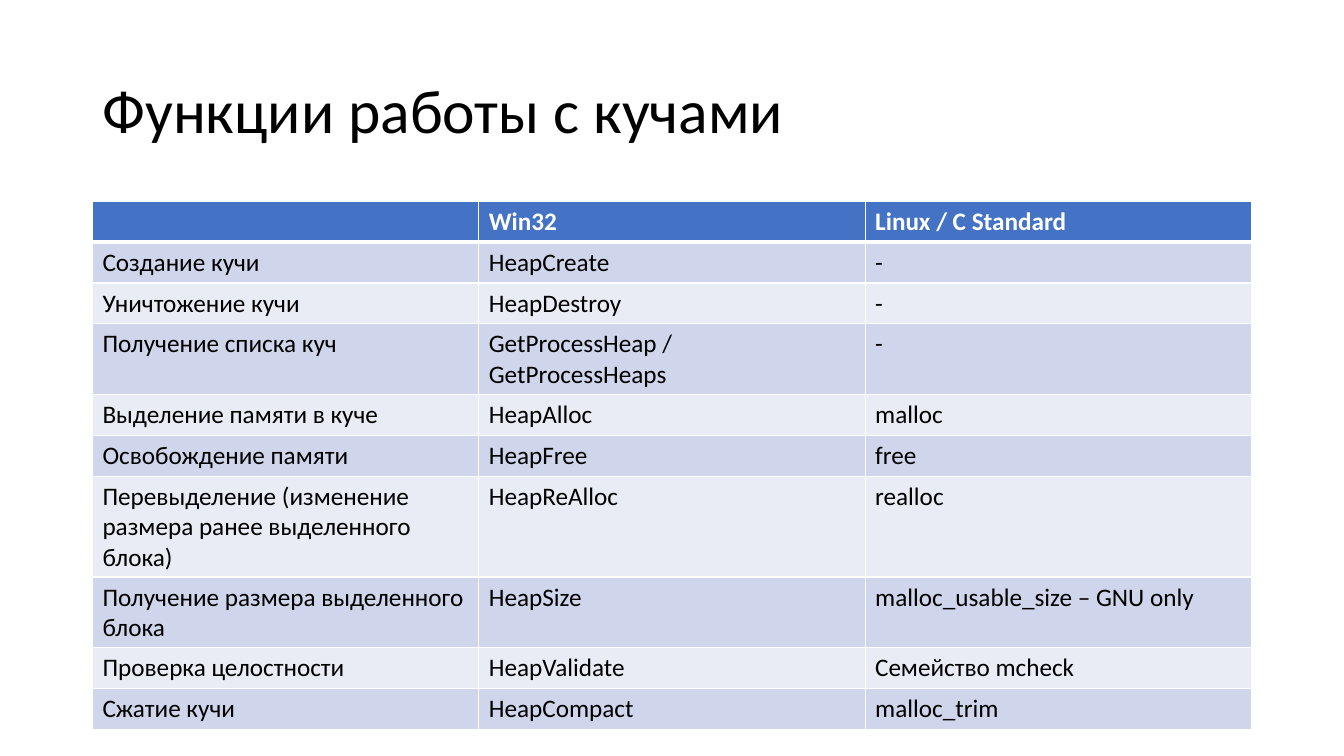
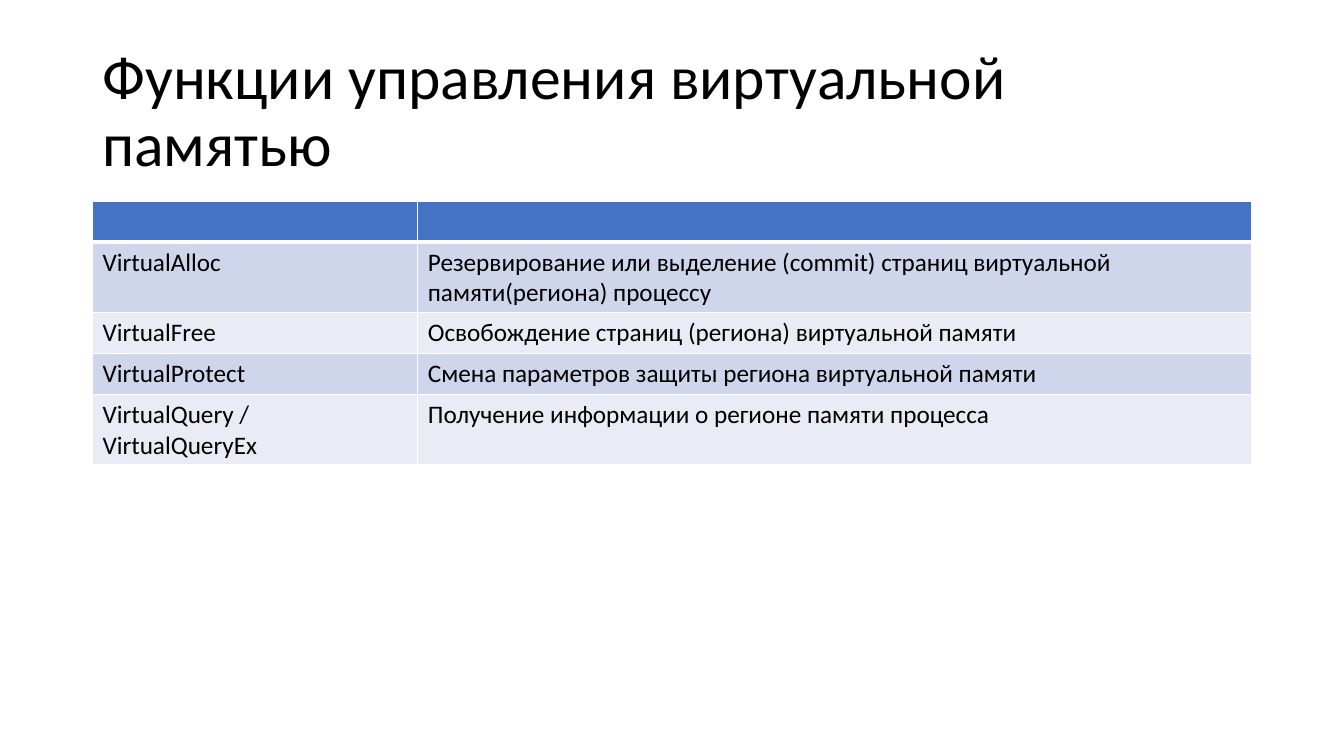
import pptx
import pptx.dml.color
import pptx.enum.text
import pptx.oxml
import pptx.oxml.ns
import pptx.util

Cm = pptx.util.Cm
Pt = pptx.util.Pt

FONT = "Calibri"
BLACK, WHITE = "000000", "FFFFFF"
HEADER_FILL = "4472C4"
BAND_FILLS = ("CFD5EA", "E9EBF5")

TITLE_FORMAT = {"name": FONT, "size": Pt(44), "bold": False}
HEADER_FORMAT = {"name": FONT, "size": Pt(18), "bold": True}
BODY_FORMAT = {"name": FONT, "size": Pt(18), "bold": False}

LEFT, CONTENT_WIDTH = 2.33, 29.21
TITLE_TOP, TITLE_HEIGHT = 1.01, 3.68
TABLE_TOP, ROW_HEIGHT = 5.07, 1.03

HEAP_ROWS = [
    ("", "Win32", "Linux / C Standard"),
    ("Создание кучи", "HeapCreate", "-"),
    ("Уничтожение кучи", "HeapDestroy", "-"),
    ("Получение списка куч", "GetProcessHeap / GetProcessHeaps", "-"),
    ("Выделение памяти в куче", "HeapAlloc", "malloc"),
    ("Освобождение памяти", "HeapFree", "free"),
    ("Перевыделение (изменение размера ранее выделенного блока)", "HeapReAlloc", "realloc"),
    ("Получение размера выделенного блока", "HeapSize", "malloc_usable_size – GNU only"),
    ("Проверка целостности", "HeapValidate", "Семейство mcheck"),
    ("Сжатие кучи", "HeapCompact", "malloc_trim"),
]
VIRTUAL_MEMORY_ROWS = [
    ("", ""),
    ("VirtualAlloc",
     "Резервирование или выделение (commit) страниц виртуальной памяти(региона) процессу"),
    ("VirtualFree", "Освобождение страниц (региона) виртуальной памяти"),
    ("VirtualProtect", "Смена параметров защиты региона виртуальной памяти"),
    ("VirtualQuery / VirtualQueryEx", "Получение информации о регионе памяти процесса"),
]


def rgb(color):
    return pptx.dml.color.RGBColor.from_string(color)


def write_text(paragraph, text, font_format, color):
    run = paragraph.add_run()
    run.text = text
    for name, value in font_format.items():
        setattr(run.font, name, value)
    run.font.color.rgb = rgb(color)


def add_title(slide, text):
    box = slide.shapes.add_textbox(
        Cm(LEFT), Cm(TITLE_TOP), Cm(CONTENT_WIDTH), Cm(TITLE_HEIGHT))
    frame = box.text_frame
    frame.word_wrap = True
    frame.vertical_anchor = pptx.enum.text.MSO_ANCHOR.MIDDLE
    paragraph = frame.paragraphs[0]
    paragraph.line_spacing = 0.9
    write_text(paragraph, text, TITLE_FORMAT, BLACK)


def set_borders(cell, row_index):
    """Draw thin white borders, with a thick line below the header row."""
    widths = {
        "lnL": 1,
        "lnR": 1,
        "lnT": 3 if row_index == 1 else 1,
        "lnB": 3 if row_index == 0 else 1,
    }
    namespace = pptx.oxml.ns.nsdecls("a")
    properties = cell._tc.get_or_add_tcPr()
    for side, width in widths.items():
        properties.append(pptx.oxml.parse_xml(
            f'<a:{side} {namespace} w="{Pt(width)}"><a:solidFill>'
            f'<a:srgbClr val="{WHITE}"/></a:solidFill></a:{side}>'))


def fill_cell(cell, text, row_index):
    is_header = row_index == 0
    set_borders(cell, row_index)
    cell.fill.solid()
    cell.fill.fore_color.rgb = rgb(
        HEADER_FILL if is_header else BAND_FILLS[(row_index - 1) % 2])
    if text:
        write_text(cell.text_frame.paragraphs[0], text,
                   HEADER_FORMAT if is_header else BODY_FORMAT,
                   WHITE if is_header else BLACK)


def add_table(slide, rows, column_widths):
    table = slide.shapes.add_table(
        len(rows), len(column_widths), Cm(LEFT), Cm(TABLE_TOP),
        Cm(CONTENT_WIDTH), Cm(ROW_HEIGHT * len(rows))).table
    for column, width in zip(table.columns, column_widths):
        column.width = Cm(width)
    for row_index, texts in enumerate(rows):
        table.rows[row_index].height = Cm(ROW_HEIGHT)
        for column_index, text in enumerate(texts):
            fill_cell(table.cell(row_index, column_index), text, row_index)


def add_table_slide(presentation, title, rows, column_widths):
    slide = presentation.slides.add_slide(presentation.slide_layouts[6])
    add_title(slide, title)
    add_table(slide, rows, column_widths)


def main():
    presentation = pptx.Presentation()
    presentation.slide_width = Cm(33.87)
    presentation.slide_height = Cm(19.05)
    add_table_slide(presentation, "Функции работы с кучами",
                    HEAP_ROWS, [CONTENT_WIDTH / 3] * 3)
    name_width = 8.2
    add_table_slide(presentation, "Функции управления виртуальной памятью",
                    VIRTUAL_MEMORY_ROWS, [name_width, CONTENT_WIDTH - name_width])
    presentation.save("out.pptx")


if __name__ == "__main__":
    main()
